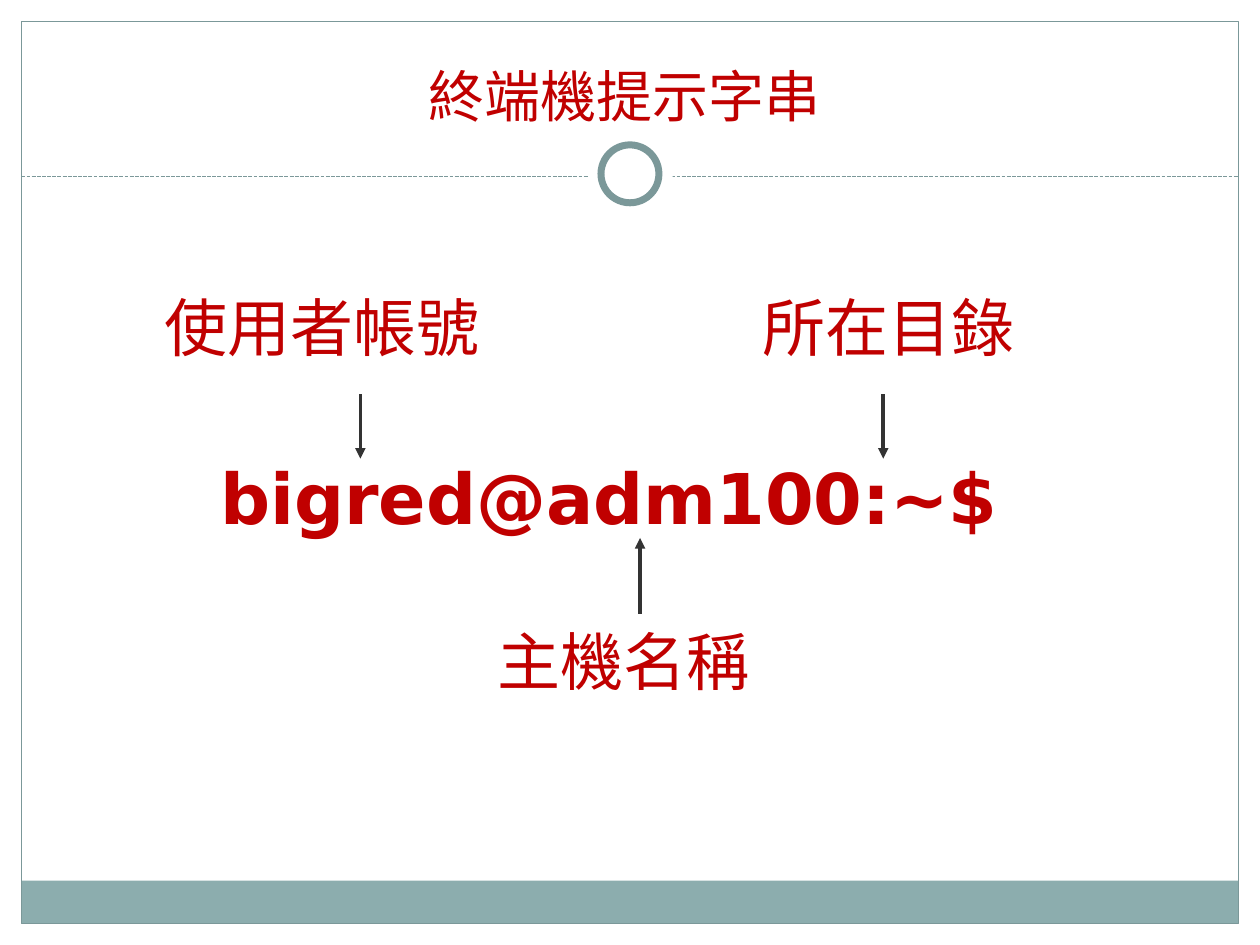
"""Build a slide that labels the three parts of a terminal prompt."""
from lxml import etree
from pptx import Presentation
from pptx import util as u
from pptx.dml.color import RGBColor
from pptx.enum import dml, shapes, text
from pptx.oxml.ns import qn

WHITE = RGBColor(0xFF, 0xFF, 0xFF)
TEAL = RGBColor(0x7B, 0x98, 0x99)
LIGHT_TEAL = RGBColor(0x8C, 0xAD, 0xAE)
RED = RGBColor(0xC0, 0x00, 0x00)
CHARCOAL = RGBColor(0x33, 0x33, 0x33)
CJK_FONT = "Noto Sans CJK SC"

presentation = Presentation()
presentation.slide_width = u.Inches(10)
presentation.slide_height = u.Inches(7.5)
WIDTH, HEIGHT = 10, 7.5
MARGIN = 0.17
slide = presentation.slides.add_slide(presentation.slide_layouts[5])


def write(shape, content, size=36, font=CJK_FONT, bold=False, align=None,
          anchor=text.MSO_ANCHOR.TOP, spacing=None, bottom=0.05):
    frame = shape.text_frame
    frame.word_wrap = True
    frame.auto_size = text.MSO_AUTO_SIZE.NONE
    frame.vertical_anchor = anchor
    frame.margin_left = frame.margin_right = frame.margin_top = u.Inches(0.05)
    frame.margin_bottom = u.Inches(bottom)
    paragraph = frame.paragraphs[0]
    paragraph.alignment = align
    paragraph.line_spacing = spacing
    run = paragraph.add_run()
    run.text = content
    run.font.size = u.Pt(size)
    run.font.name = font
    run.font.bold = bold
    run.font.color.rgb = RED
    etree.SubElement(run.font._element, qn("a:ea"), typeface=font)


def draw_line(x1, y1, x2, y2, color, width):
    connector = slide.shapes.add_connector(
        shapes.MSO_CONNECTOR.STRAIGHT, *map(u.Inches, (x1, y1, x2, y2)))
    connector.line.color.rgb = color
    connector.line.width = u.Pt(width)
    etree.SubElement(connector._element.spPr, qn("a:effectLst"))
    return connector


RECTANGLE, OVAL = shapes.MSO_SHAPE.RECTANGLE, shapes.MSO_SHAPE.OVAL
INNER_WIDTH, INNER_HEIGHT = WIDTH - 2 * MARGIN, HEIGHT - 2 * MARGIN
RULE_Y = 1.4
decorations = [
    (RECTANGLE, 0, 0, WIDTH, 1.52, WHITE, None),
    (RECTANGLE, 0, 0, MARGIN, HEIGHT, WHITE, None),
    (RECTANGLE, WIDTH - MARGIN, 0, MARGIN, HEIGHT, WHITE, None),
    (RECTANGLE, MARGIN, 6.99, INNER_WIDTH, 0.34, LIGHT_TEAL, None),
    (RECTANGLE, MARGIN, MARGIN, INNER_WIDTH, INNER_HEIGHT, None, 0.75),
    (OVAL, WIDTH / 2 - 0.33, 1.05, 0.67, 0.67, WHITE, None),
    (OVAL, WIDTH / 2 - 0.23, 1.15, 0.46, 0.46, WHITE, 4),
]
for kind, left, top, width, height, fill, outline in decorations:
    if kind == OVAL and outline is None:
        rule = draw_line(MARGIN, RULE_Y, WIDTH - MARGIN, RULE_Y, TEAL, 0.75)
        rule.line.dash_style = dml.MSO_LINE.SQUARE_DOT
    shape = slide.shapes.add_shape(
        kind, *map(u.Inches, (left, top, width, height)))
    shape.shadow.inherit = False
    if fill is None:
        shape.fill.background()
    else:
        shape.fill.solid()
        shape.fill.fore_color.rgb = fill
    if outline is None:
        shape.line.fill.background()
    else:
        shape.line.color.rgb = TEAL
        shape.line.width = u.Pt(outline)

title = slide.shapes.title
title.left, title.top, title.width, title.height = map(
    u.Inches, (0.91, 0.1, 8.09, 0.92))
write(title, "終端機提示字串", size=32, align=text.PP_ALIGN.CENTER,
      anchor=text.MSO_ANCHOR.BOTTOM, bottom=0)
slide.shapes._spTree.append(title._element)

prompt = slide.shapes.add_textbox(*map(u.Inches, (1.7, 3.56, 6.5, 0.77)))
write(prompt, "bigred@adm100:~$", size=40, font="DejaVu Sans", bold=True)

LABEL_HEIGHT = 0.61
ABOVE, BELOW = (2.31, 3.13, 3.64), (4.96, 4.87, 4.27)
labels = [
    ("使用者帳號", 1.26, 3.2, 2.86, ABOVE),
    ("主機名稱", 3.9, 2.38, 5.08, BELOW),
    ("所在目錄", 6, 2.3, 7.01, ABOVE),
]
for content, left, width, arrow_x, (top, start, end) in labels:
    label = slide.shapes.add_textbox(
        *map(u.Inches, (left, top, width, LABEL_HEIGHT)))
    write(label, content, spacing=0.9)
    arrow = draw_line(arrow_x, start, arrow_x, end, CHARCOAL, 2)
    etree.SubElement(arrow.line._get_or_add_ln(), qn("a:tailEnd"),
                     type="triangle")

presentation.save("out.pptx")
